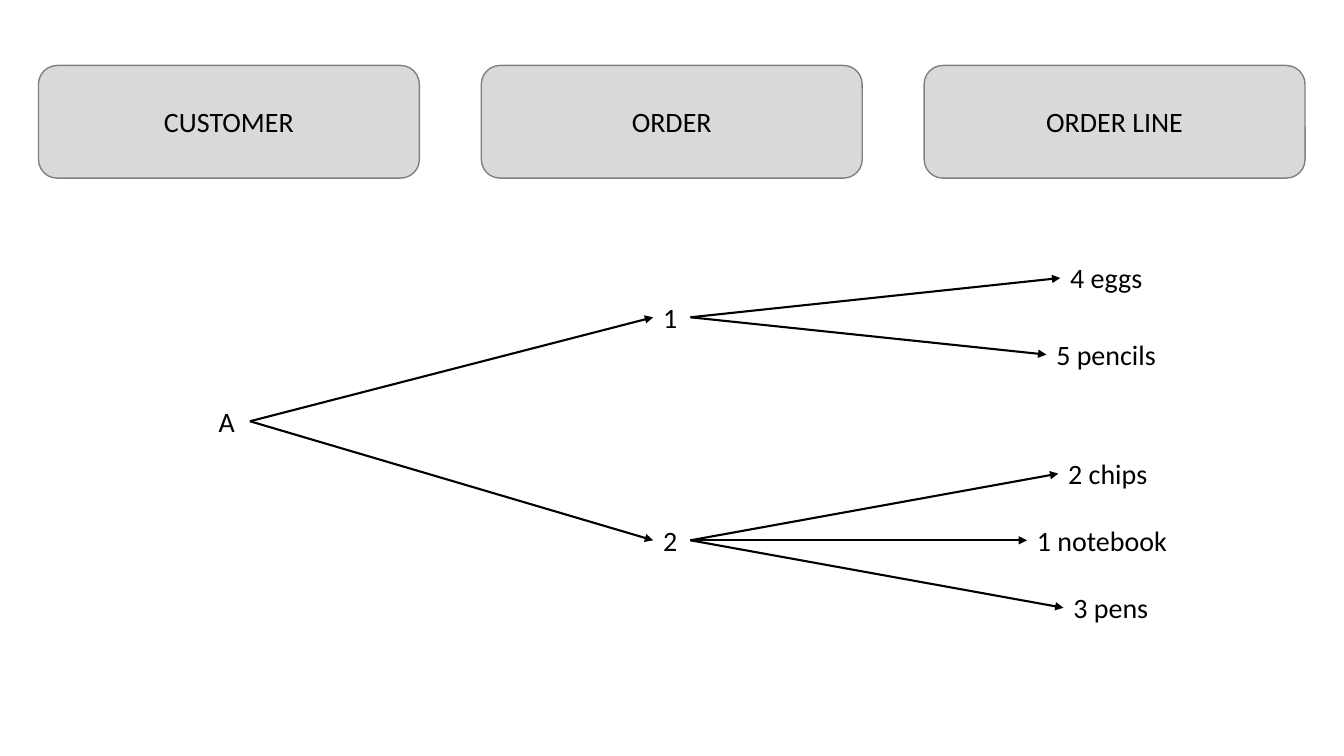
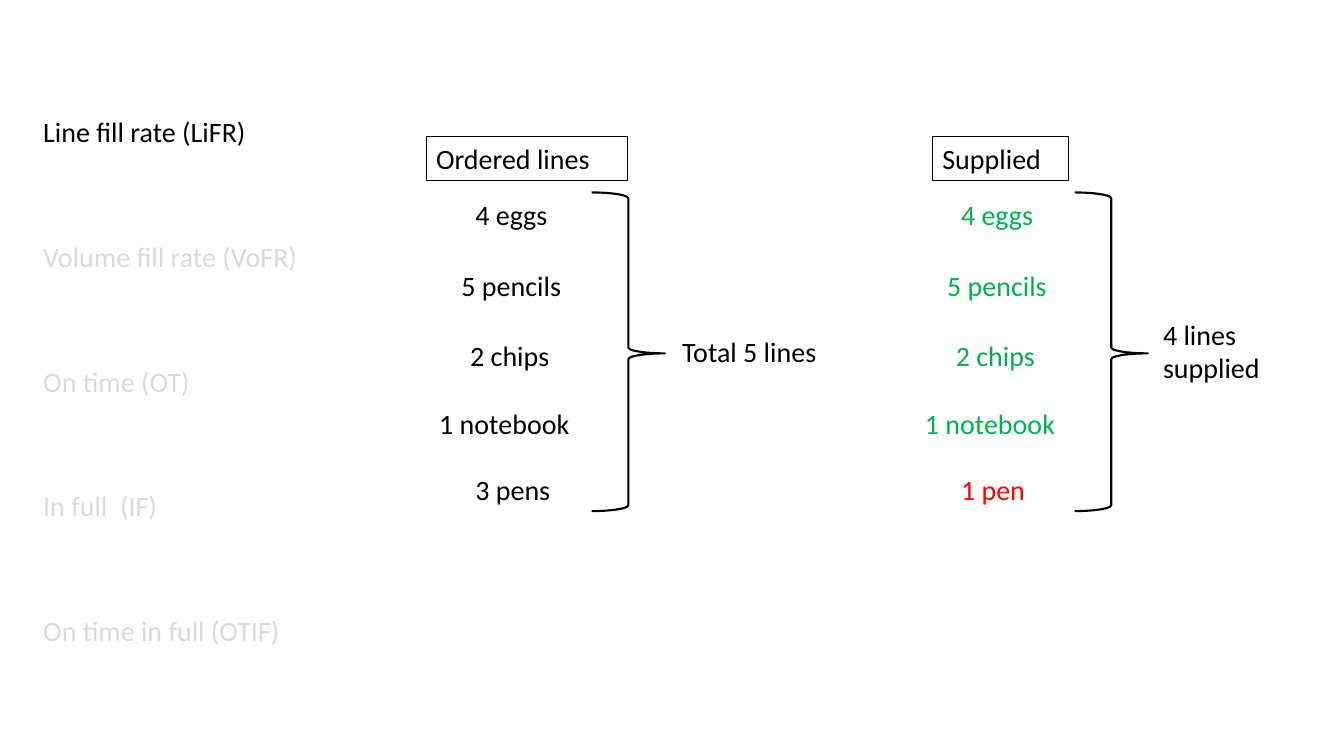
from dataclasses import dataclass

from lxml import etree
from pptx import Presentation
from pptx import util as u
from pptx.dml.color import RGBColor
from pptx.enum import shapes, text
from pptx.oxml import ns

FONT = "Calibri"
FONT_SIZE = 20
BLACK = "000000"
LIGHT_GRAY = "D9D9D9"
MID_GRAY = "808080"
GREEN = "00B050"
RED = "FF0000"
LINE_HEIGHT = 1.11
PRODUCT_WIDTHS = {
    "4 eggs": 2.74,
    "5 pencils": 3.45,
    "2 chips": 2.87,
    "1 notebook": 4.39,
    "3 pens": 2.74,
    "1 pen": 2.74,
}


@dataclass(frozen=True)
class Label:
    text: str
    left: float
    top: float
    width: float
    height: float = LINE_HEIGHT
    color: str = BLACK
    framed: bool = False


@dataclass(frozen=True)
class Column:
    shift: float
    last_product: str
    color: str
    last_color: str
    header: Label
    total: Label
    brace_left: float


HEADINGS = ("CUSTOMER", "ORDER", "ORDER LINE")
TREE_LABELS = (
    Label("A", 5.26, 10.06, 1.04),
    Label("1", 16.46, 7.44, 0.94),
    Label("2", 16.46, 13.06, 0.94),
)
TREE_PRODUCTS = (
    ("4 eggs", 26.72, 6.45),
    ("5 pencils", 26.37, 8.38),
    ("2 chips", 26.67, 11.38),
    ("1 notebook", 25.88, 13.06),
    ("3 pens", 26.8, 14.76),
)
TREE_LINKS = {
    "A": ("1", "2"),
    "1": ("4 eggs", "5 pencils"),
    "2": ("2 chips", "1 notebook", "3 pens"),
}
METRICS = (
    "Line fill rate (LiFR)",
    "Volume fill rate (VoFR)",
    "On time (OT)",
    "In full  (IF)",
    "On time in full (OTIF)",
)
FIRST_PRODUCTS = (
    ("4 eggs", 11.73, 4.85),
    ("5 pencils", 11.38, 6.65),
    ("2 chips", 11.6, 8.41),
    ("1 notebook", 10.82, 10.11),
)
LAST_PRODUCT_LEFT, LAST_PRODUCT_TOP = 11.73, 11.79
COLUMNS = (
    Column(0, "3 pens", BLACK, BLACK,
           Label("Ordered lines", 10.74, 3.45, 5.08, framed=True),
           Label("Total 5 lines", 16.94, 8.31, 4.55), 14.91),
    Column(12.24, "1 pen", GREEN, RED,
           Label("Supplied", 23.5, 3.45, 3.43, framed=True),
           Label("4 lines\nsupplied", 29.06, 7.87, 3.38, 1.96), 27.08),
)


def rgb(color: str) -> RGBColor:
    return RGBColor.from_string(color)


def set_line(shape, color: str, width: float) -> None:
    shape.line.color.rgb = rgb(color)
    shape.line.width = u.Pt(width)


def write_text(shape, content: str, color: str, alignment) -> None:
    shape.text_frame.word_wrap = True
    shape.text_frame.text = content
    for paragraph in shape.text_frame.paragraphs:
        paragraph.alignment = alignment
        paragraph.font.name = FONT
        paragraph.font.size = u.Pt(FONT_SIZE)
        paragraph.font.color.rgb = rgb(color)


def add_label(slide, label: Label):
    shape = slide.shapes.add_textbox(
        u.Cm(label.left), u.Cm(label.top), u.Cm(label.width), u.Cm(label.height))
    write_text(shape, label.text, label.color, text.PP_ALIGN.LEFT)
    if label.framed:
        set_line(shape, BLACK, 0.75)
    return shape


def add_product(slide, name: str, left: float, top: float, color: str = BLACK):
    return add_label(slide, Label(name, left, top, PRODUCT_WIDTHS[name], color=color))


def add_heading(slide, heading: str, left: float) -> None:
    shape = slide.shapes.add_shape(
        shapes.MSO_SHAPE.ROUNDED_RECTANGLE, u.Cm(left), u.Cm(1.65), u.Cm(9.6), u.Cm(2.84))
    shape.shadow.inherit = False
    shape.fill.solid()
    shape.fill.fore_color.rgb = rgb(LIGHT_GRAY)
    set_line(shape, MID_GRAY, 1)
    shape.text_frame.vertical_anchor = text.MSO_ANCHOR.MIDDLE
    write_text(shape, heading, BLACK, text.PP_ALIGN.CENTER)


def add_arrow(slide, source, target) -> None:
    connector = slide.shapes.add_connector(shapes.MSO_CONNECTOR.STRAIGHT, 0, 0, 0, 0)
    connector.begin_connect(source, 3)
    connector.end_connect(target, 1)
    set_line(connector, BLACK, 1.5)
    line = connector.line._get_or_add_ln()
    etree.SubElement(line, ns.qn("a:tailEnd"), type="triangle")
    etree.SubElement(connector._element.spPr, ns.qn("a:effectLst"))


def add_brace(slide, left: float) -> None:
    brace = slide.shapes.add_shape(
        shapes.MSO_SHAPE.RIGHT_BRACE, u.Cm(left), u.Cm(4.85), u.Cm(1.85), u.Cm(8.03))
    brace.shadow.inherit = False
    brace.fill.background()
    brace.adjustments[0] = 0.08
    brace.adjustments[1] = 0.505
    set_line(brace, BLACK, 1.5)


def build_order_tree(slide) -> None:
    for index, heading in enumerate(HEADINGS):
        add_heading(slide, heading, 0.97 + 11.16 * index)
    nodes = {label.text: add_label(slide, label) for label in TREE_LABELS}
    for name, left, top in TREE_PRODUCTS:
        nodes[name] = add_product(slide, name, left, top)
    for source, targets in TREE_LINKS.items():
        for target in targets:
            add_arrow(slide, nodes[source], nodes[target])


def build_line_fill_rate(slide) -> None:
    for index, metric in enumerate(METRICS):
        color = BLACK if index == 0 else LIGHT_GRAY
        add_label(slide, Label(metric, 0.84, 2.77 + 3.14 * index, 8.1, color=color))
    for column in COLUMNS:
        add_label(slide, column.header)
        for name, left, top in FIRST_PRODUCTS:
            add_product(slide, name, left + column.shift, top, column.color)
        add_product(slide, column.last_product, LAST_PRODUCT_LEFT + column.shift,
                    LAST_PRODUCT_TOP, column.last_color)
        add_brace(slide, column.brace_left)
        add_label(slide, column.total)


def main() -> None:
    presentation = Presentation()
    presentation.slide_width = u.Cm(33.87)
    presentation.slide_height = u.Cm(19.05)
    blank_layout = presentation.slide_layouts[6]
    for build in (build_order_tree, build_line_fill_rate):
        build(presentation.slides.add_slide(blank_layout))
    presentation.save("out.pptx")


if __name__ == "__main__":
    main()
